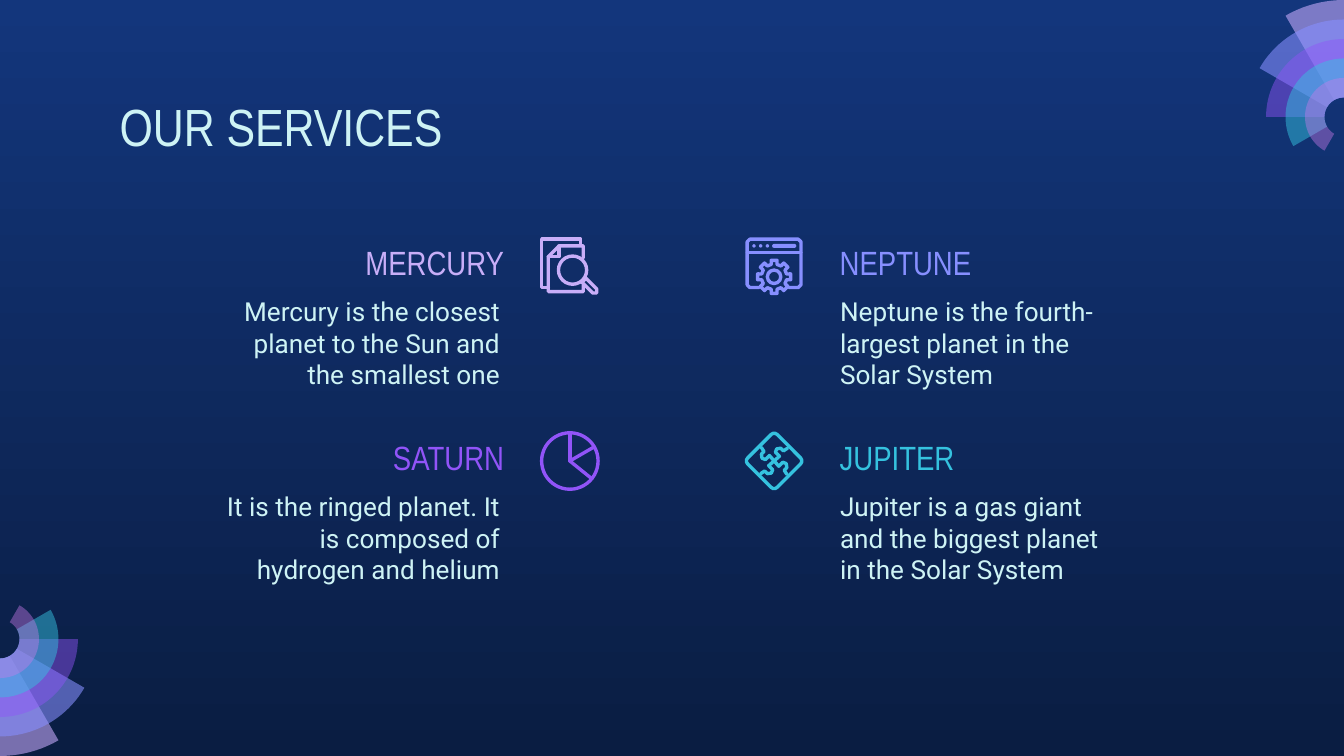
from dataclasses import dataclass
from math import cos, radians, sin

from lxml import etree
from pptx import Presentation
from pptx.dml.color import RGBColor
from pptx.enum.shapes import MSO_CONNECTOR, MSO_SHAPE
from pptx.enum.text import MSO_ANCHOR, MSO_AUTO_SIZE, PP_ALIGN
from pptx.oxml.ns import qn
from pptx.util import Inches, Pt

STRAIGHT = MSO_CONNECTOR.STRAIGHT
OVAL, ROUNDED = MSO_SHAPE.OVAL, MSO_SHAPE.ROUNDED_RECTANGLE
LEFT, RIGHT = PP_ALIGN.LEFT, PP_ALIGN.RIGHT
TOP, BOTTOM = MSO_ANCHOR.TOP, MSO_ANCHOR.BOTTOM
COMPARISON_LAYOUT = 4

Point = tuple[float, float]


@dataclass(frozen=True)
class Theme:
    sky: str = "13367C"
    night: str = "0A1D42"
    text: str = "CEF3F5"
    lilac: str = "C8AEF8"
    blue: str = "878FFF"
    violet: str = "9154F8"
    cyan: str = "35C2DF"
    display: str = "Arial Narrow"
    body: str = "Roboto"
    title_size: int = 28
    heading_size: int = 18
    body_size: int = 14
    stroke: float = 1.8


@dataclass(frozen=True)
class Column:
    heading_left: float
    body_left: float
    icon_center: float
    align: PP_ALIGN


@dataclass(frozen=True)
class Blob:
    """A preset shape placed by its centre, as an offset from the icon's centre."""
    kind: MSO_SHAPE
    x: float
    y: float
    width: float
    height: float
    solid: bool = False
    rotation: int = 0
    corner: float = 0.5


@dataclass(frozen=True)
class Stroke:
    points: list[Point]
    closed: bool = False


@dataclass(frozen=True)
class Service:
    name: str
    description: str
    color: str
    column: int
    row: int
    icon: list[Blob | Stroke]


THEME = Theme()
WIDTH = 10
HEIGHT = WIDTH * 9 / 16
COLUMNS = [Column(2.01, 1.52, 4.24, RIGHT), Column(6.15, 6.15, 5.76, LEFT)]
ROW_TOP, ROW_PITCH = 1.77, 1.45

RING = 0.145  # width of one band, and radius of the hole
FAN_BANDS = [("C8ACFD", 58), ("878FFF", 58), ("9154F8", 46), ("35C2DF", 49), ("CA7BEB", 42)]


def polar(radius: float, angle: float) -> Point:
    return radius * cos(radians(angle)), -radius * sin(radians(angle))


def circle(x: float, y: float, radius: float, solid: bool = False) -> Blob:
    return Blob(OVAL, x, y, 2 * radius, 2 * radius, solid)


def gear(x: float, y: float) -> Stroke:
    profile = [(-13, 0.095), (-10, 0.125), (10, 0.125), (13, 0.095)]
    corners = [polar(r, tooth * 45 + turn) for tooth in range(8) for turn, r in profile]
    return Stroke([(x + dx, y + dy) for dx, dy in corners], closed=True)


def jigsaw_seams() -> list[Stroke]:
    """One seam from edge to centre, turned through four quarter turns."""
    seam = [(-0.095, -0.1), (-0.075, -0.07), (-0.095, -0.05), (-0.09, -0.02),
            (-0.065, -0.01), (-0.035, -0.04), (0, 0)]
    seams = []
    for _ in range(4):
        seams.append(Stroke(seam))
        seam = [(-y, x) for x, y in seam]
    return seams


SEARCH_ICON = [
    Stroke([(0.08, -0.16), (0.08, -0.2), (-0.21, -0.2), (-0.21, 0.16), (-0.16, 0.16)]),
    Stroke([(0.1, -0.06), (0.1, -0.15), (-0.08, -0.15), (-0.16, -0.07), (-0.16, 0.19),
            (0.1, 0.19), (0.1, 0.14)]),
    Stroke([(-0.08, -0.15), (-0.08, -0.07), (-0.16, -0.07)]),
    circle(0.02, 0.03, 0.105),
    Stroke([(0.12, 0.09), (0.2, 0.17), (0.2, 0.2), (0.17, 0.2), (0.09, 0.12)], closed=True),
]
PIE_ICON = [circle(0, 0, 0.21)] + [
    Stroke([(0, 0), polar(0.21, angle)]) for angle in (90, 30, -39)]
WINDOW_ICON = [
    Stroke([(-0.11, 0.16), (-0.18, 0.16), (-0.2, 0.14), (-0.2, -0.18), (-0.18, -0.2),
            (0.18, -0.2), (0.2, -0.18), (0.2, 0.14), (0.18, 0.16), (0.11, 0.16)]),
    Stroke([(-0.2, -0.1), (0.2, -0.1)]),
    *[circle(x, -0.15, 0.0125, solid=True) for x in (-0.15, -0.1, -0.05)],
    Blob(ROUNDED, 0.075, -0.15, 0.18, 0.03, solid=True),
    gear(0, 0.08),
    circle(0, 0.08, 0.05),
]
PUZZLE_ICON = [Blob(ROUNDED, 0, 0, 0.31, 0.31, rotation=45, corner=0.1), *jigsaw_seams()]

SERVICES = [
    Service("MERCURY", "Mercury is the closest planet to the Sun and the smallest one",
            THEME.lilac, 0, 0, SEARCH_ICON),
    Service("NEPTUNE", "Neptune is the fourth-largest planet in the Solar System",
            THEME.blue, 1, 0, WINDOW_ICON),
    Service("SATURN", "It is the ringed planet. It is composed of hydrogen and helium",
            THEME.violet, 0, 1, PIE_ICON),
    Service("JUPITER", "Jupiter is a gas giant and the biggest planet in the Solar System",
            THEME.cyan, 1, 1, PUZZLE_ICON),
]


def place(box, left: float, top: float, width: float, height: float) -> None:
    lengths = {"left": left, "top": top, "width": width, "height": height}
    for name, value in lengths.items():
        setattr(box, name, Inches(value))


def write(box, text: str, font: str, size: int, color: str,
          align: PP_ALIGN = LEFT, anchor: MSO_ANCHOR = TOP) -> None:
    frame = box.text_frame
    margins = {f"margin_{side}": Inches(0.1) for side in ("left", "right", "top", "bottom")}
    frame_format = {"word_wrap": True, "auto_size": MSO_AUTO_SIZE.NONE,
                    "vertical_anchor": anchor, **margins}
    for name, value in frame_format.items():
        setattr(frame, name, value)
    para = frame.paragraphs[0]
    para.alignment, para.space_before = align, Pt(0)
    properties = para._p.get_or_add_pPr()
    properties.set("marL", "0")
    properties.set("indent", "0")
    etree.SubElement(properties, qn("a:buNone"))
    span = para.add_run()
    span.text = text
    for name, value in {"name": font, "size": Pt(size), "bold": False}.items():
        setattr(span.font, name, value)
    span.font.color.rgb = RGBColor.from_string(color)


def outline(shape, color: str) -> None:
    shape.line.color.rgb = RGBColor.from_string(color)
    shape.line.width = Pt(THEME.stroke)
    line = shape._element.spPr.find(qn("a:ln"))
    line.set("cap", "rnd")
    etree.SubElement(line, qn("a:round"))


def add_outline_shape(page, points: list[Point], closed: bool):
    corners = [(Inches(x), Inches(y)) for x, y in points]
    builder = page.shapes.build_freeform(*corners[0], scale=1.0)
    builder.add_line_segments(corners[1:], close=closed)
    shape = builder.convert_to_shape()
    shape.shadow.inherit = False
    return shape


def draw_stroke(page, stroke: Stroke, x: float, y: float, color: str) -> None:
    points = [(x + dx, y + dy) for dx, dy in stroke.points]
    if len(points) == 2:
        ends = [Inches(value) for point in points for value in point]
        shape = page.shapes.add_connector(STRAIGHT, *ends)
        outline(shape, color)
        etree.SubElement(shape._element.spPr, qn("a:effectLst"))
    else:
        shape = add_outline_shape(page, points, stroke.closed)
        shape.fill.background()
        outline(shape, color)


def draw_blob(page, blob: Blob, x: float, y: float, color: str) -> None:
    shape = page.shapes.add_shape(blob.kind, 0, 0, 0, 0)
    place(shape, x + blob.x - blob.width / 2, y + blob.y - blob.height / 2,
          blob.width, blob.height)
    shape.shadow.inherit = False
    shape.rotation = blob.rotation
    if blob.kind == ROUNDED:
        shape.adjustments[0] = blob.corner
    if blob.solid:
        shape.fill.solid()
        shape.fill.fore_color.rgb = RGBColor.from_string(color)
        shape.line.fill.background()
    else:
        shape.fill.background()
        outline(shape, color)


def draw_fan(page, x: float, y: float, start: int) -> None:
    """Stack ring sectors; each is one band narrower and 30 degrees longer than the last."""
    for index, (color, opacity) in enumerate(FAN_BANDS):
        angles = range(start, start + 30 * (index + 1) + 1, 3)
        outer = [polar(RING * (6 - index), angle) for angle in angles]
        inner = [polar(RING, angle) for angle in reversed(angles)]
        band = add_outline_shape(page, [(x + dx, y + dy) for dx, dy in outer + inner], True)
        band.fill.solid()
        band.fill.fore_color.rgb = RGBColor.from_string(color)
        band.line.fill.background()
        tint = band._element.spPr.find(qn("a:solidFill"))[0]
        etree.SubElement(tint, qn("a:alpha"), val=str(opacity * 1000))


def draw_service(page, service: Service, body) -> None:
    column = COLUMNS[service.column]
    top = ROW_TOP + service.row * ROW_PITCH
    heading = page.shapes.add_textbox(0, 0, 0, 0)
    place(heading, column.heading_left, top, 1.84, 0.43)
    write(heading, service.name, THEME.display, THEME.heading_size, service.color,
          column.align, BOTTOM)
    place(body, column.body_left, top + 0.33, 2.3, 0.89)
    write(body, service.description, THEME.body, THEME.body_size, THEME.text, column.align)
    for part in service.icon:
        draw = draw_blob if isinstance(part, Blob) else draw_stroke
        draw(page, part, column.icon_center, top + 0.21, service.color)


def main() -> None:
    deck = Presentation()
    deck.slide_width, deck.slide_height = Inches(WIDTH), Inches(HEIGHT)
    page = deck.slides.add_slide(deck.slide_layouts[COMPARISON_LAYOUT])
    backdrop = page.background.fill
    backdrop.gradient()
    backdrop.gradient_angle = 270
    for stop, color in zip(backdrop.gradient_stops, (THEME.sky, THEME.night)):
        stop.color.rgb = RGBColor.from_string(color)
    title, *bodies = page.placeholders
    place(title, 0.79, 0.6, 8.43, 0.63)
    write(title, "OUR SERVICES", THEME.display, THEME.title_size, THEME.text)
    draw_fan(page, WIDTH, 6 * RING, start=90)
    draw_fan(page, 0, HEIGHT - 6 * RING, start=270)
    for service, body in zip(SERVICES, bodies):
        draw_service(page, service, body)
    deck.save("out.pptx")


if __name__ == "__main__":
    main()
